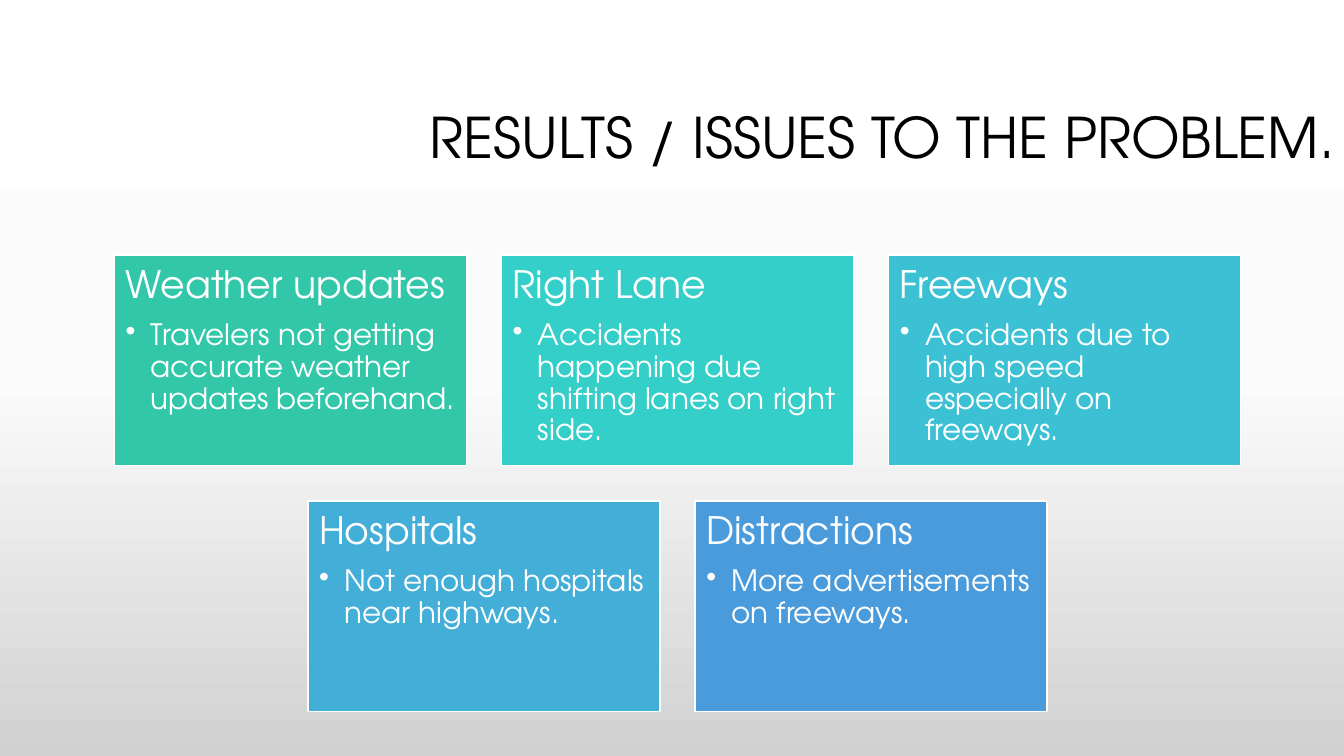
import copy
from dataclasses import dataclass

import pptx
import pptx.dml.color
import pptx.enum.shapes
import pptx.enum.text
import pptx.oxml
import pptx.oxml.ns
import pptx.util

Inches = pptx.util.Inches
Pt = pptx.util.Pt
Align = pptx.enum.text.PP_ALIGN
Anchor = pptx.enum.text.MSO_ANCHOR


@dataclass(frozen=True)
class Theme:
    """Colours, type sizes and grid measures in inches."""
    font: str = "TeX Gyre Adventor"
    ink: str = "000000"
    white: str = "FFFFFF"
    backdrop: tuple = ((0, "FFFFFF"), (0.5, "FBFBFB"), (1, "D1D1D1"))
    title_size: int = 40
    heading_size: int = 27
    body_size: int = 21
    line_spacing: float = 0.9
    card_width: float = 3.49
    card_height: float = 2.09
    gap: float = 0.35
    grid_center: float = 6.72
    grid_top: float = 2.53
    inset: float = 0.11
    indent: float = 0.25


THEME = Theme()

CARD_ROWS = (
    (
        ("Weather updates", "Travelers not getting accurate weather updates beforehand.", "32C7A9"),
        ("Right Lane", "Accidents happening due shifting lanes on right side.", "35CFC9"),
        ("Freeways", "Accidents due to high speed especially on freeways.", "3CC1D4"),
    ),
    (
        ("Hospitals", "Not enough hospitals near highways.", "43AED8"),
        ("Distractions", "More advertisements on freeways.", "4A9BDC"),
    ),
)


def rgb(code):
    """Turn a hex code into a colour."""
    return pptx.dml.color.RGBColor.from_string(code)


def apply_format(target, values):
    """Set every attribute named in a dict of format values."""
    for name, value in values.items():
        setattr(target, name, value)


def paint_background(page):
    """Fill the page with the vertical three-stop gradient."""
    fill = page.background.fill
    fill.gradient()
    fill.gradient_angle = 270
    stop_list = page.element.find(".//" + pptx.oxml.ns.qn("a:gsLst"))
    stop_list.insert(1, copy.deepcopy(stop_list[0]))
    for stop, (position, code) in zip(fill.gradient_stops, THEME.backdrop):
        stop.position = position
        stop.color.rgb = rgb(code)


def write_paragraph(para, text, size, color, align=Align.LEFT, after=0):
    """Write one formatted span; the space after is a share of the type size."""
    apply_format(para, {"alignment": align, "line_spacing": THEME.line_spacing,
                        "space_before": Pt(0), "space_after": Pt(size * after)})
    span = para.add_run()
    span.text = text
    apply_format(span.font, {"name": THEME.font, "size": Pt(size)})
    span.font.color.rgb = rgb(color)


def add_bullet(para):
    """Give a paragraph a round bullet with a hanging indent."""
    properties = para._p.get_or_add_pPr()
    indent = Inches(THEME.indent)
    properties.set("marL", str(indent))
    properties.set("indent", str(-indent))
    bullet = pptx.oxml.parse_xml(
        f'<a:buChar {pptx.oxml.ns.nsdecls("a")} char="\u2022"/>')
    properties.append(bullet)


def add_title(page, text):
    """Add the right-aligned title."""
    box = page.shapes.add_textbox(Inches(3.92), Inches(0.69), Inches(9.42), Inches(1.41))
    apply_format(box.text_frame, {"word_wrap": True, "vertical_anchor": Anchor.MIDDLE})
    write_paragraph(box.text_frame.paragraphs[0], text, THEME.title_size, THEME.ink, Align.RIGHT)


def add_card(page, left, top, heading, detail, color):
    """Add a coloured card with a heading and one bullet."""
    card = page.shapes.add_shape(
        pptx.enum.shapes.MSO_SHAPE.RECTANGLE, Inches(left), Inches(top),
        Inches(THEME.card_width), Inches(THEME.card_height))
    card.shadow.inherit = False
    card.fill.solid()
    card.fill.fore_color.rgb = rgb(color)
    card.line.color.rgb = rgb(THEME.white)
    card.line.width = Pt(1)
    frame = card.text_frame
    apply_format(frame, {"word_wrap": True, "vertical_anchor": Anchor.TOP})
    apply_format(frame, {f"margin_{side}": Inches(THEME.inset)
                         for side in ("left", "top", "right", "bottom")})
    write_paragraph(frame.paragraphs[0], heading, THEME.heading_size, THEME.white, after=0.35)
    bullet = frame.add_paragraph()
    write_paragraph(bullet, detail, THEME.body_size, THEME.white, after=0.15)
    add_bullet(bullet)


def add_card_grid(page, rows):
    """Lay out rows of cards, each row centred on the grid."""
    column_step = THEME.card_width + THEME.gap
    row_step = THEME.card_height + THEME.gap
    for row, cards in enumerate(rows):
        row_width = len(cards) * column_step - THEME.gap
        row_left = THEME.grid_center - row_width / 2
        for column, card in enumerate(cards):
            add_card(page, row_left + column * column_step,
                     THEME.grid_top + row * row_step, *card)


def main():
    """Build and save the deck."""
    deck = pptx.Presentation()
    apply_format(deck, {"slide_width": Inches(13.33), "slide_height": Inches(7.5)})
    page = deck.slides.add_slide(deck.slide_layouts[6])
    paint_background(page)
    add_title(page, "RESULTS / ISSUES TO THE PROBLEM.")
    add_card_grid(page, CARD_ROWS)
    deck.save("out.pptx")


main()
